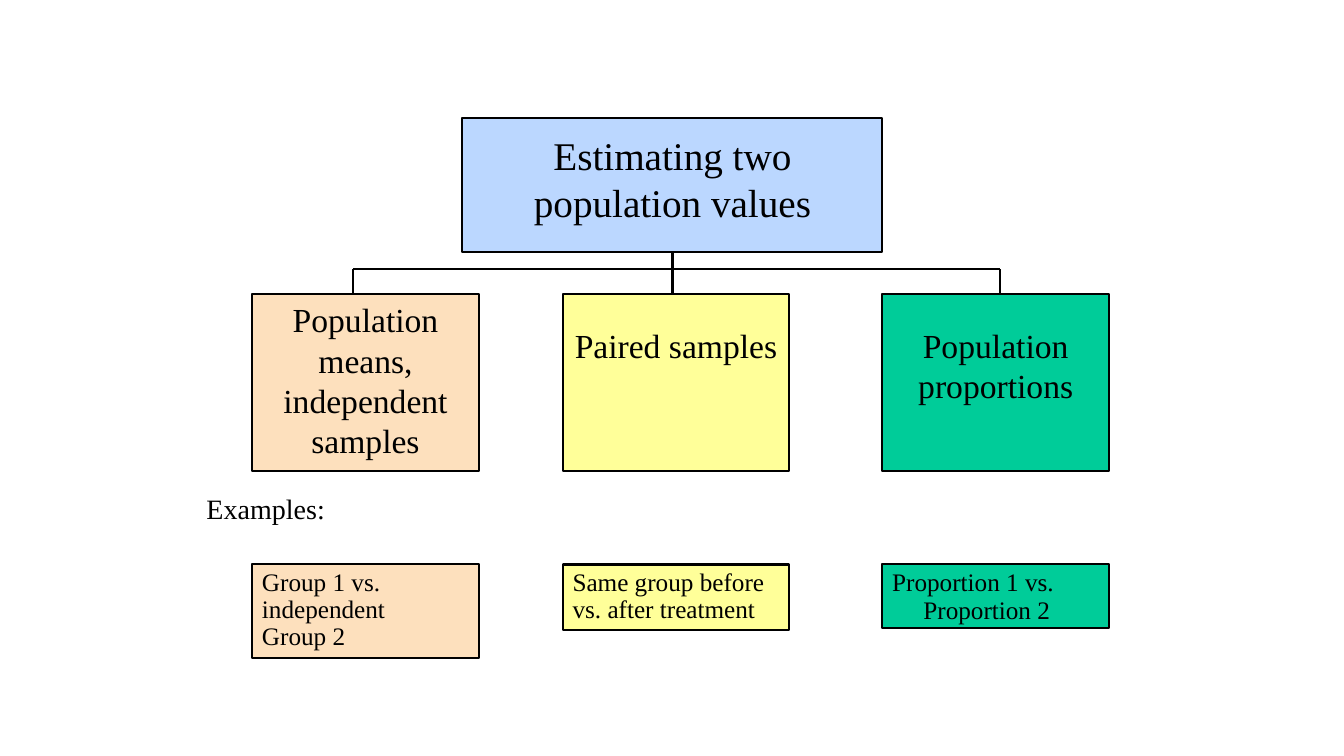
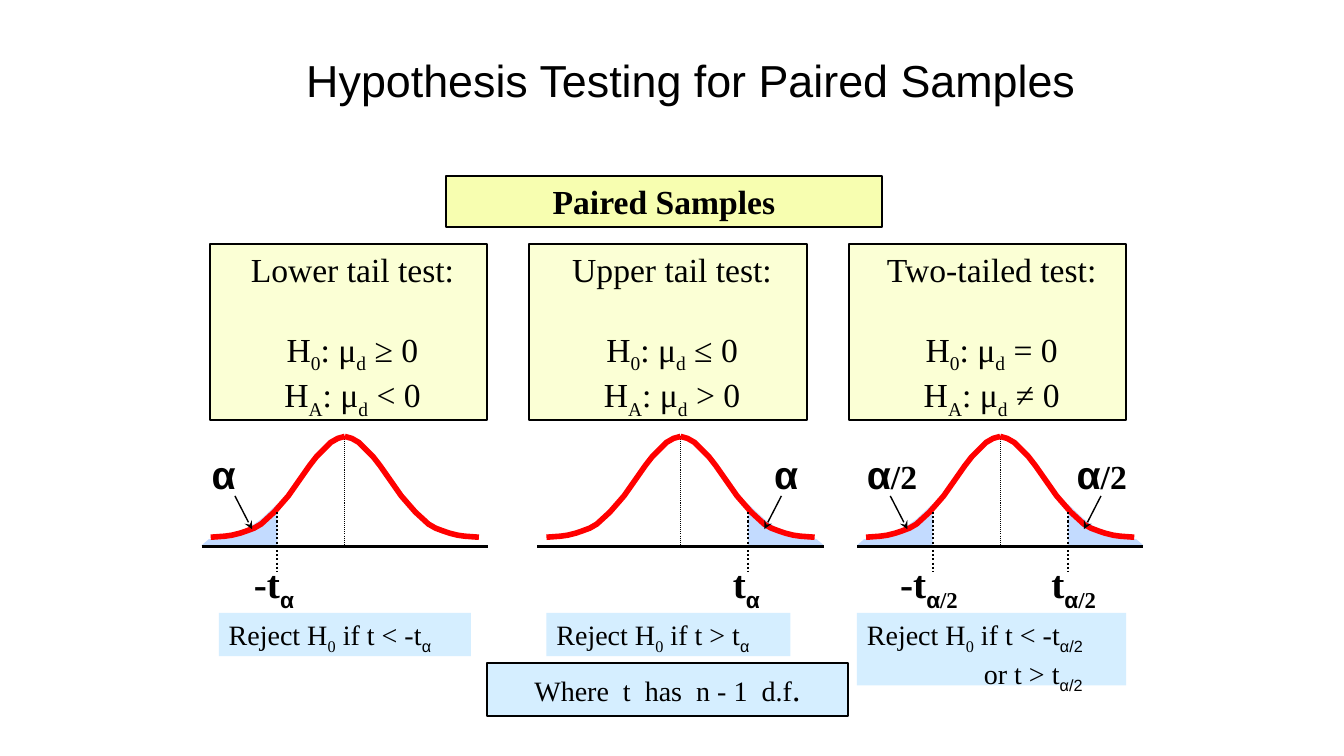
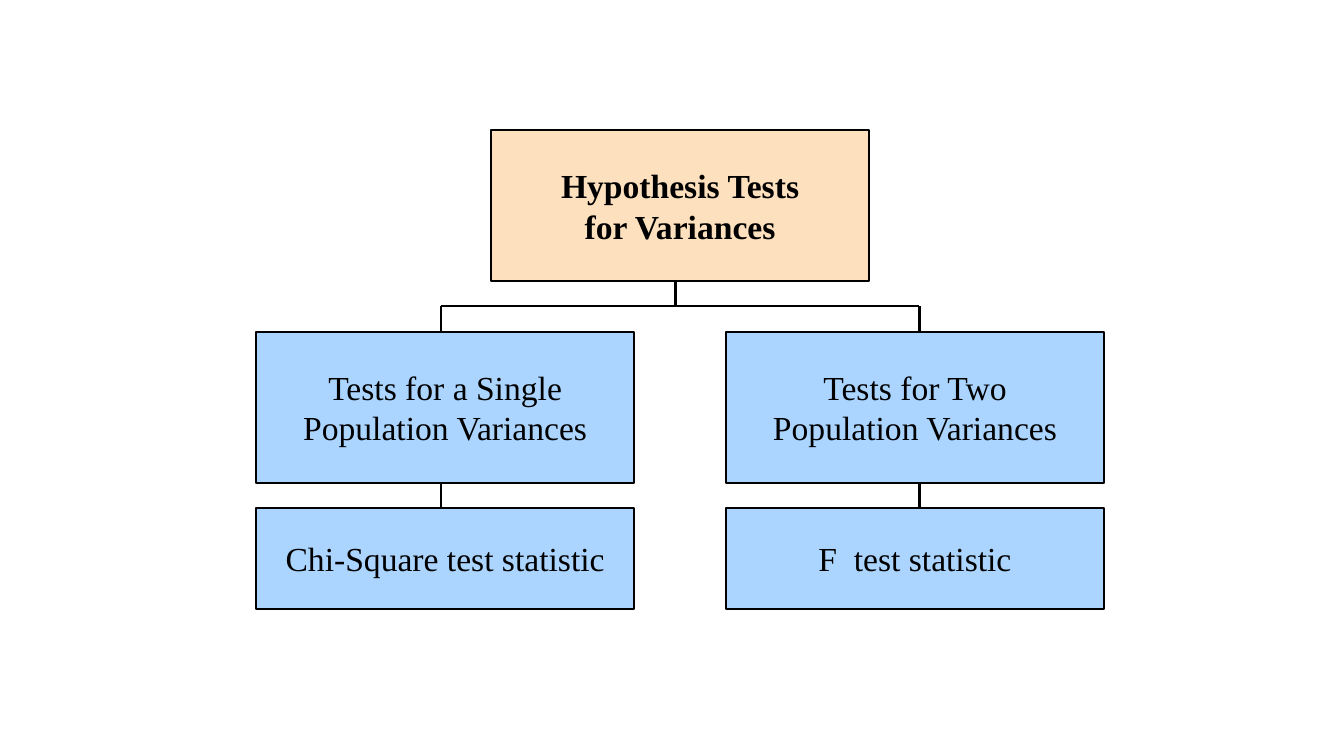
from dataclasses import dataclass
from typing import Optional

from pptx import Presentation
from pptx.dml.color import RGBColor
from pptx.enum.dml import MSO_LINE
from pptx.enum.shapes import MSO_CONNECTOR, MSO_SHAPE
from pptx.enum.text import MSO_ANCHOR, PP_ALIGN
from pptx.oxml.ns import qn
from pptx.util import Pt
from lxml.etree import SubElement

PX = 9144


@dataclass(frozen=True)
class Theme:
    ink: str = "000000"
    blue: str = "BBD7FF"
    sky: str = "ABD5FF"
    pale_blue: str = "D5EEFF"
    tail_blue: str = "C3DBFF"
    peach: str = "FDE0BD"
    yellow: str = "FFFF99"
    lemon: str = "F7FEB0"
    cream: str = "FBFFD5"
    green: str = "00CC99"
    red: str = "FF0000"
    serif: str = "Times New Roman"
    sans: str = "Arial"
    title: int = 32
    large: int = 28
    body: int = 24
    note: int = 20
    small: int = 18
    border: float = 1.5


T = Theme()


@dataclass(frozen=True)
class Run:
    text: str
    sub: bool = False
    font: str = T.serif
    size: Optional[int] = None


@dataclass(frozen=True)
class Para:
    runs: tuple[Run, ...]
    spacing: Optional[float] = None
    before: float = 0
    indent: int = 0


@dataclass(frozen=True)
class Branch:
    x: int
    fill: str
    text: str
    top: int
    example: tuple[Para, ...]
    example_h: int


@dataclass(frozen=True)
class Tail:
    side: int
    arrow: int
    alpha_x: int
    critical_x: int
    critical: str


@dataclass(frozen=True)
class TailTest:
    x: int
    center: int
    name: str
    null: str
    alternative: str
    half: bool
    tails: tuple[Tail, ...]
    reject_x: int
    reject_w: int
    reject_h: int
    reject: tuple[Para, ...]


def para(text: str, spacing: Optional[float] = None, before: float = 0, indent: int = 0) -> Para:
    return Para((Run(text),), spacing, before, indent)


def rgb(color: str) -> RGBColor:
    return RGBColor.from_string(color)


def write(tf, paras: tuple[Para, ...], *, size: int = T.body, bold: bool = False,
          align: PP_ALIGN = PP_ALIGN.LEFT, anchor: MSO_ANCHOR = MSO_ANCHOR.TOP,
          inset: tuple[int, int, int, int] = (10, 5, 10, 5)) -> None:
    tf.word_wrap = True
    tf.vertical_anchor = anchor
    tf.margin_left, tf.margin_top, tf.margin_right, tf.margin_bottom = (v * PX for v in inset)
    for i, item in enumerate(paras):
        p = tf.add_paragraph() if i else tf.paragraphs[0]
        p.alignment = align
        p.space_before = Pt(item.before)
        if item.spacing:
            p.line_spacing = item.spacing
        if item.indent:
            p._p.get_or_add_pPr().set("marL", str(item.indent * PX))
        for part in item.runs:
            for n, line in enumerate(part.text.split("\n")):
                if n:
                    p.add_line_break()
                r = p.add_run()
                r.text = line
                r.font.name = part.font
                r.font.size = Pt(part.size or size)
                r.font.bold = bold
                r.font.color.rgb = rgb(T.ink)
                if part.sub:
                    r._r.get_or_add_rPr().set("baseline", "-25000")


def box(slide, x: int, y: int, w: int, h: int, fill: str, paras: tuple[Para, ...],
        border: bool = True, **text_format) -> None:
    sp = slide.shapes.add_shape(MSO_SHAPE.RECTANGLE, x * PX, y * PX, w * PX, h * PX)
    sp.shadow.inherit = False
    sp.fill.solid()
    sp.fill.fore_color.rgb = rgb(fill)
    if border:
        sp.line.color.rgb = rgb(T.ink)
        sp.line.width = Pt(T.border)
    else:
        sp.line.fill.background()
    write(sp.text_frame, paras, **text_format)


def label(slide, x: int, y: int, w: int, h: int, item: Para, **text_format) -> None:
    sp = slide.shapes.add_textbox(x * PX, y * PX, w * PX, h * PX)
    write(sp.text_frame, (item,), **text_format)


def line(slide, x1: int, y1: int, x2: int, y2: int, *, width: float = T.border,
         dotted: bool = False, arrow: bool = False) -> None:
    sp = slide.shapes.add_connector(MSO_CONNECTOR.STRAIGHT, x1 * PX, y1 * PX, x2 * PX, y2 * PX)
    sp.line.color.rgb = rgb(T.ink)
    sp.line.width = Pt(width)
    if dotted:
        sp.line.dash_style = MSO_LINE.ROUND_DOT
    if arrow:
        SubElement(sp.line._get_or_add_ln(), qn("a:tailEnd"), type="stealth")
    SubElement(sp._element.spPr, qn("a:effectLst"))


def outline(slide, points: list[tuple[int, int]], *, fill: Optional[str] = None,
            stroke: Optional[str] = None) -> None:
    fb = slide.shapes.build_freeform(*points[0], scale=PX)
    fb.add_line_segments(points[1:], close=fill is not None)
    sp = fb.convert_to_shape()
    sp.shadow.inherit = False
    if fill:
        sp.fill.solid()
        sp.fill.fore_color.rgb = rgb(fill)
    else:
        sp.fill.background()
    if stroke:
        sp.line.color.rgb = rgb(stroke)
        sp.line.width = Pt(4)
    else:
        sp.line.fill.background()


BRANCHES = (
    Branch(250, T.peach, "Population means, independent samples", 5,
           (para("Group 1 vs. independent\nGroup 2", 0.9),), 93),
    Branch(558, T.yellow, "Paired samples", 30,
           (para("Same group before vs. after treatment", 0.9),), 65),
    Branch(875, T.green, "Population proportions", 30,
           (para("Proportion 1 vs.", 0.9), para("Proportion 2", 0.5, 7.5, 31)), 63),
)


def estimating_slide(prs) -> None:
    slide = prs.slides.add_slide(prs.slide_layouts[6])
    box(slide, 458, 117, 417, 133, T.blue, (para("Estimating two population values"),),
        size=T.large, align=PP_ALIGN.CENTER, inset=(19, 13, 18, 5))
    for b in BRANCHES:
        box(slide, b.x, 292, 225, 175, b.fill, (para(b.text),),
            align=PP_ALIGN.CENTER, inset=(10, b.top, 10, 5))
        box(slide, b.x, 560, 225, b.example_h, b.fill, b.example, size=T.small)
    line(slide, 667, 250, 667, 292)
    line(slide, 350, 267, 992, 267)
    for x in (350, 992):
        line(slide, x, 267, x, 292)
    label(slide, 195, 492, 167, 34, para("Examples:", 0.7), size=T.note)


BELL = ((133, 533), (119, 532), (112, 531), (104, 529), (98, 527), (90, 524), (83, 520), (70, 508),
        (56, 492), (42, 472), (35, 462), (28, 453), (20, 445), (14, 439), (7, 435), (0, 433))
TAIL_AREA = ((142, 541), (135, 535), (110, 530), (97, 525), (83, 515), (67, 500), (67, 541))


def reject(condition: str, alpha: str) -> Para:
    return Para((Run("Reject H"), Run("0", True), Run(f" if t {condition}"), Run(alpha, True, T.sans)))


TESTS = (
    TailTest(208, 342, "Lower tail test:", "≥ 0", "< 0", False,
             (Tail(-1, 109, 200, 242, "-t"),), 217, 250, 43, (reject("< -t", "α"),)),
    TailTest(525, 675, "Upper tail test:", "≤ 0", "> 0", False,
             (Tail(1, 100, 758, 717, "t"),), 542, 242, 43, (reject("> t", "α"),)),
    TailTest(842, 992, "Two-tailed test:", "= 0", "≠ 0", True,
             (Tail(-1, 109, 850, 883, "-t"), Tail(1, 100, 1058, 1033, "t")), 850, 267, 72,
             (reject("< -t", "α/2"),
              Para((Run("or t > t"), Run("α/2", True, T.sans)), 0.2, 16, 116))),
)


def hypothesis(letter: str, relation: str, before: float = 0) -> Para:
    return Para((Run("H"), Run(letter, True), Run(": μ"), Run("d", True), Run(f" {relation}")), before=before)


def draw_tail(slide, test: TailTest, tail: Tail) -> None:
    c, s = test.center, tail.side
    half = (Run("/2", size=T.body),) if test.half else ()
    half_sub = (Run("/2", True),) if test.half else ()
    label(slide, tail.alpha_x, 442, 92 if test.half else 42, 56,
          Para((Run("α", font=T.sans),) + half), size=T.large, bold=True)
    label(slide, tail.critical_x, 550, 108, 56,
          Para((Run(tail.critical), Run("α", True, T.sans)) + half_sub), size=T.large, bold=True)
    line(slide, c + s * tail.arrow, 492, c + s * (tail.arrow - 17), 525, width=1, arrow=True)
    line(slide, c + s * 67, 508, c + s * 67, 567, dotted=True)


def draw_test(slide, test: TailTest) -> None:
    c = test.center
    box(slide, test.x, 242, 275, 175, T.cream,
        (para(test.name), hypothesis("0", test.null, 28), hypothesis("A", test.alternative)),
        align=PP_ALIGN.CENTER, inset=(18, 5, 10, 5))
    line(slide, c, 433, c, 542, width=0.75, dotted=True)
    for tail in test.tails:
        outline(slide, [(c + tail.side * dx, y) for dx, y in TAIL_AREA], fill=T.tail_blue)
    for side in (-1, 1):
        outline(slide, [(c + side * dx, y) for dx, y in BELL], stroke=T.red)
    line(slide, c - 142, 542, c + 142, 542, width=2)
    for tail in test.tails:
        draw_tail(slide, test, tail)
    box(slide, test.reject_x, 608, test.reject_w, test.reject_h, T.pale_blue, test.reject,
        border=False, size=T.note)


def paired_slide(prs) -> None:
    slide = prs.slides.add_slide(prs.slide_layouts[5])
    sp = slide.shapes.title
    sp.left, sp.top, sp.width, sp.height = (v * PX for v in (275, 25, 821, 117))
    write(sp.text_frame, (Para((Run("Hypothesis Testing for Paired Samples", font=T.sans),), 0.8),),
          size=T.title, align=PP_ALIGN.CENTER, anchor=MSO_ANCHOR.MIDDLE)
    box(slide, 442, 175, 433, 50, T.lemon, (para("Paired Samples"),), bold=True, align=PP_ALIGN.CENTER)
    for test in TESTS:
        draw_test(slide, test)
    box(slide, 483, 658, 358, 52, T.pale_blue,
        (Para((Run("Where  t  has  n - 1  d.f"), Run(".", size=T.body))),),
        size=T.note, align=PP_ALIGN.CENTER)


def variances_slide(prs) -> None:
    slide = prs.slides.add_slide(prs.slide_layouts[6])
    centered = dict(align=PP_ALIGN.CENTER, anchor=MSO_ANCHOR.MIDDLE)
    box(slide, 487, 129, 375, 150, T.peach, (para("Hypothesis Tests"), para("for Variances")),
        bold=True, **centered)
    line(slide, 670, 279, 670, 304)
    line(slide, 437, 304, 912, 304)
    for x, stem, kind, statistic in ((254, 437, "Tests for a Single", "Chi-Square test statistic"),
                                     (720, 912, "Tests for Two", "F  test statistic")):
        box(slide, x, 329, 375, 150, T.sky, (para(kind), para("Population Variances")), **centered)
        box(slide, x, 504, 375, 100, T.sky, (para(statistic),), **centered)
        for y in (304, 479):
            line(slide, stem, y, stem, y + 25)


def main() -> None:
    prs = Presentation()
    prs.slide_width, prs.slide_height = 1333 * PX, 750 * PX
    estimating_slide(prs)
    paired_slide(prs)
    variances_slide(prs)
    prs.save("out.pptx")


if __name__ == "__main__":
    main()
